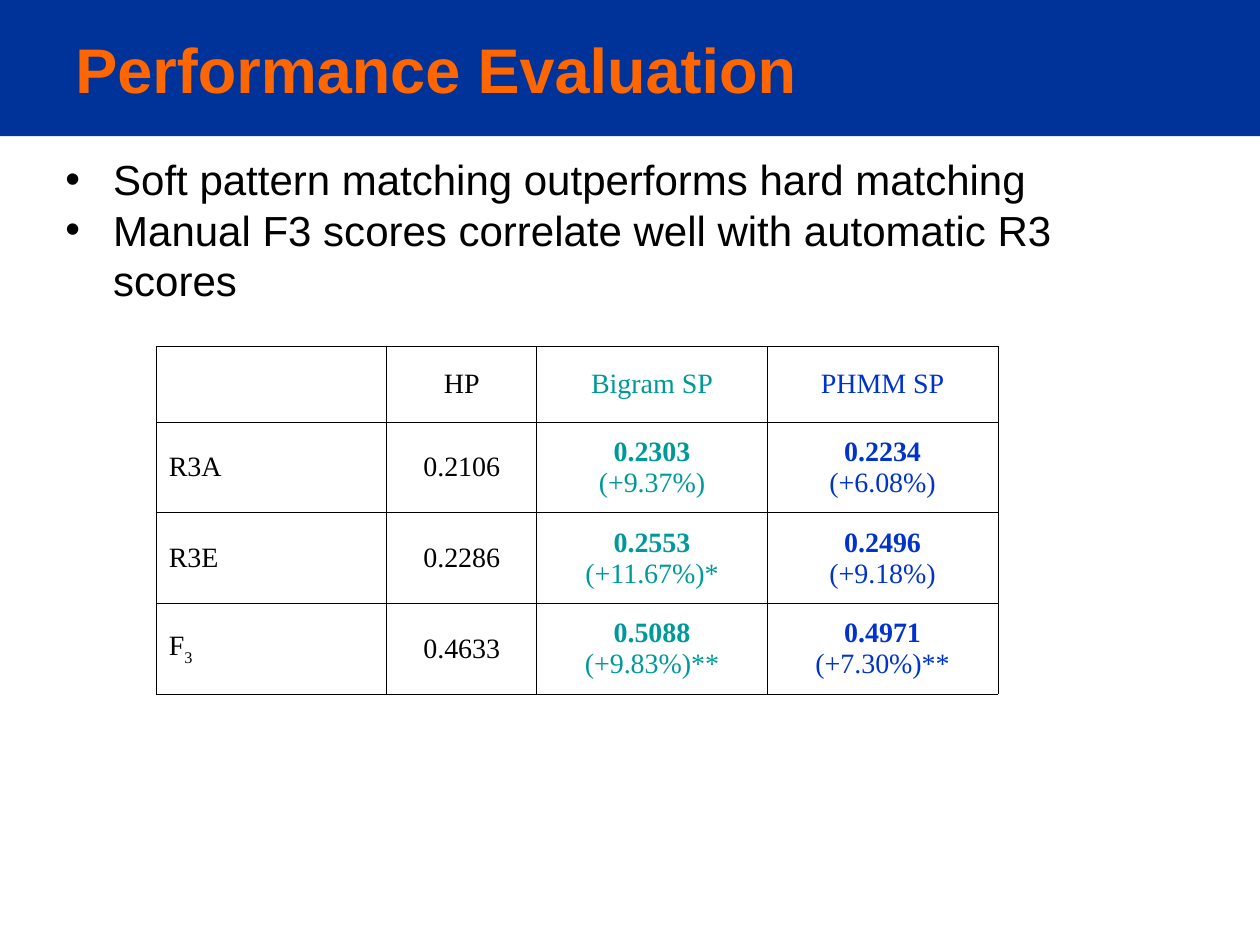
from lxml import etree
from pptx import Presentation
from pptx.dml.color import RGBColor
from pptx.enum.shapes import MSO_SHAPE
from pptx.enum.text import MSO_ANCHOR, PP_ALIGN
from pptx.oxml.ns import qn
from pptx.util import Inches, Pt

RECTANGLE = MSO_SHAPE.RECTANGLE
TOP, MIDDLE = MSO_ANCHOR.TOP, MSO_ANCHOR.MIDDLE
LEFT, CENTER = PP_ALIGN.LEFT, PP_ALIGN.CENTER

COLORS = {
    "band": "003399",
    "title": "FF6600",
    "text": "000000",
    "bigram": "009999",
    "phmm": "0033CC",
}
BULLETS = [
    ("Soft pattern matching outperforms hard matching", {"line_spacing": 0.8, "space_before": Pt(6)}),
    ("Manual F3 scores correlate well with automatic R3 scores", {}),
]
COLUMN_WIDTHS = [1.83, 1.19, 1.83, 1.83]
ROW_HEIGHTS = [0.6, 0.72, 0.72, 0.72]
COLUMN_COLORS = ["text", "text", "bigram", "phmm"]
SCORES = [
    ["", "HP", "Bigram SP", "PHMM SP"],
    ["R3A", "0.2106", "0.2303\n(+9.37%)", "0.2234\n(+6.08%)"],
    ["R3E", "0.2286", "0.2553\n(+11.67%)*", "0.2496\n(+9.18%)"],
    ["F_3", "0.4633", "0.5088\n(+9.83%)**", "0.4971\n(+7.30%)**"],
]


class SlideBuilder:
    """Holds the style and the current slide and adds each kind of element."""

    title_font = {"name": "Arial", "size": Pt(36), "bold": True}
    body_font = {"name": "Arial", "size": Pt(24)}
    table_font = {"name": "Times New Roman", "size": Pt(16)}
    border_width = Pt(0.45)

    def __init__(self, slide):
        self.slide = slide

    def apply(self, target, values):
        for name, value in values.items():
            setattr(target, name, value)

    def add_span(self, para, text, color, font):
        span = para.add_run()
        span.text = text
        self.apply(span.font, font)
        span.font.color.rgb = RGBColor.from_string(COLORS[color])
        return span

    def add_band(self, left, top, width, height):
        band = self.slide.shapes.add_shape(
            RECTANGLE, Inches(left), Inches(top), Inches(width), Inches(height))
        band.shadow.inherit = False
        band.fill.solid()
        band.fill.fore_color.rgb = RGBColor.from_string(COLORS["band"])
        band.line.fill.background()

    def add_box(self, left, top, width, height, anchor):
        box = self.slide.shapes.add_textbox(
            Inches(left), Inches(top), Inches(width), Inches(height))
        self.apply(box.text_frame, {"word_wrap": True, "vertical_anchor": anchor})
        return box.text_frame

    def add_title(self, text, *place):
        frame = self.add_box(*place, MIDDLE)
        self.add_span(frame.paragraphs[0], text, "title", self.title_font)

    def add_bullets(self, items, *place):
        frame = self.add_box(*place, TOP)
        for index, (text, layout) in enumerate(items):
            para = frame.add_paragraph() if index else frame.paragraphs[0]
            self.apply(para, layout)
            self.add_span(para, text, "text", self.body_font)
            properties = para._p.get_or_add_pPr()
            properties.set("marL", str(Inches(0.38)))
            properties.set("indent", str(Inches(-0.38)))
            etree.SubElement(properties, qn("a:buFont"), typeface="Arial")
            etree.SubElement(properties, qn("a:buChar"), char="•")

    def add_borders(self, cell):
        properties = cell._tc.get_or_add_tcPr()
        for side in ("lnL", "lnR", "lnT", "lnB"):
            line = etree.SubElement(properties, qn(f"a:{side}"), w=str(self.border_width))
            fill = etree.SubElement(line, qn("a:solidFill"))
            etree.SubElement(fill, qn("a:srgbClr"), val=COLORS["text"])

    def fill_cell(self, cell, text, color, alignment):
        self.add_borders(cell)
        cell.fill.background()
        cell.vertical_anchor = MIDDLE
        para = cell.text_frame.paragraphs[0]
        para.alignment = alignment
        if not text:
            return
        score, _, change = text.partition("\n")
        base, _, subscript = score.partition("_")
        self.add_span(para, base, color, {**self.table_font, "bold": bool(change)})
        if subscript:
            span = self.add_span(para, subscript, color, self.table_font)
            span._r.get_or_add_rPr().set("baseline", "-30000")
        if change:
            para.add_line_break()
            self.add_span(para, change, color, self.table_font)

    def add_table(self, rows, left, top):
        table = self.slide.shapes.add_table(
            len(rows), len(COLUMN_WIDTHS), Inches(left), Inches(top),
            Inches(sum(COLUMN_WIDTHS)), Inches(sum(ROW_HEIGHTS))).table
        self.apply(table, {"first_row": False, "horz_banding": False})
        for column, width in zip(table.columns, COLUMN_WIDTHS):
            column.width = Inches(width)
        for row, height, texts in zip(table.rows, ROW_HEIGHTS, rows):
            row.height = Inches(height)
            for index, (cell, text) in enumerate(zip(row.cells, texts)):
                self.fill_cell(cell, text, COLUMN_COLORS[index], CENTER if index else LEFT)


def main():
    deck = Presentation()
    deck.slide_width, deck.slide_height = Inches(10), Inches(7.5)
    page = SlideBuilder(deck.slides.add_slide(deck.slide_layouts[6]))
    page.add_band(0, 0, 10, 1.08)
    page.add_title("Performance Evaluation", 0.5, 0.17, 7.33, 0.75)
    page.add_bullets(BULLETS, 0.42, 1.25, 9.08, 2.08)
    page.add_table(SCORES, 1.24, 2.75)
    deck.save("out.pptx")


if __name__ == "__main__":
    main()
